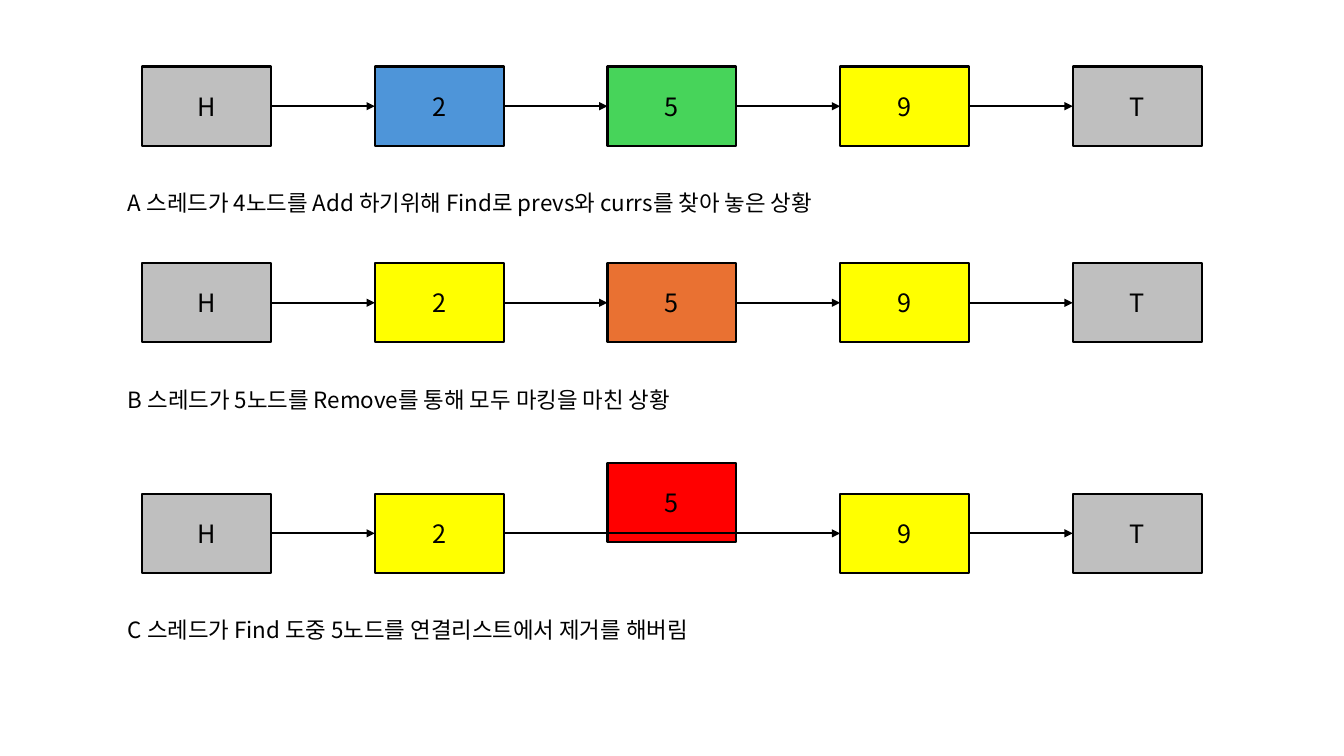
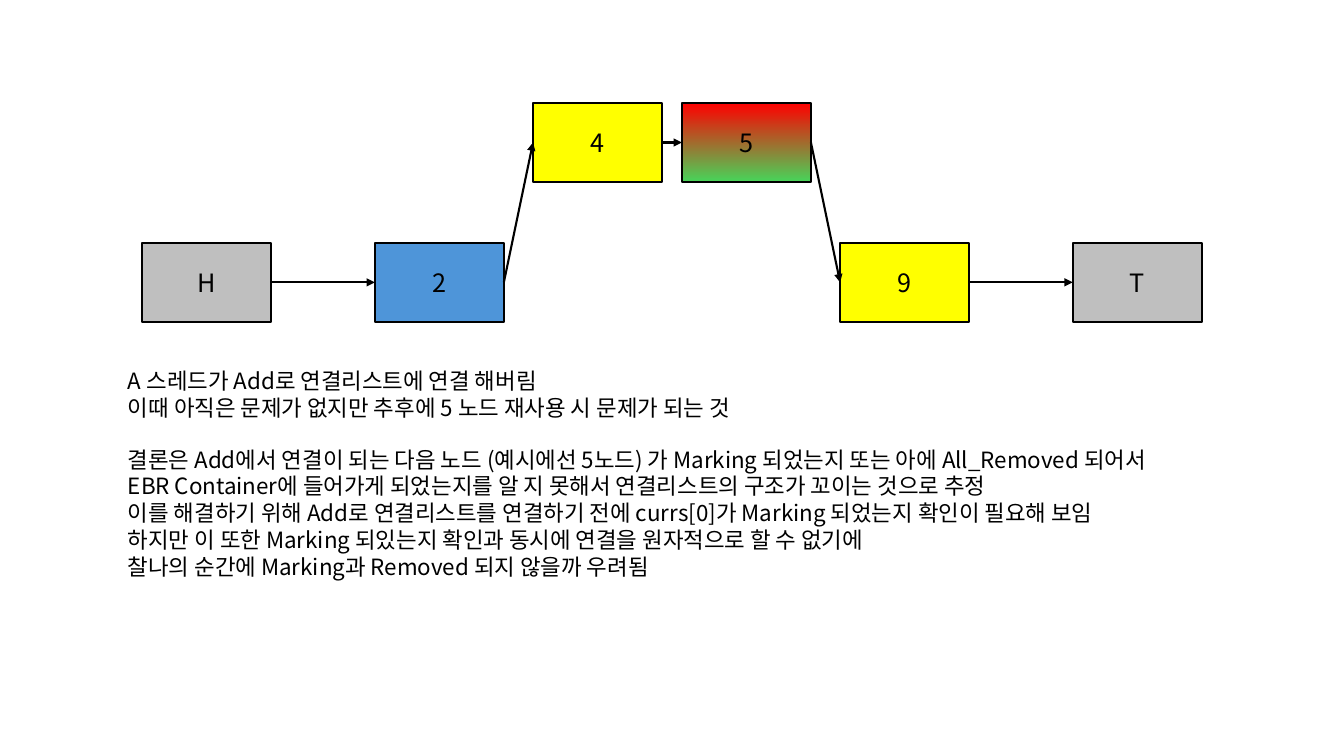
from itertools import pairwise

from lxml import etree
from pptx import Presentation
from pptx.dml.color import RGBColor
from pptx.enum.shapes import MSO_CONNECTOR, MSO_SHAPE
from pptx.enum.text import MSO_ANCHOR, MSO_AUTO_SIZE, PP_ALIGN
from pptx.oxml.ns import qn
from pptx.util import Inches, Pt

RECT, LINE = MSO_SHAPE.RECTANGLE, MSO_CONNECTOR.STRAIGHT
MIDDLE, FIT = MSO_ANCHOR.MIDDLE, MSO_AUTO_SIZE.SHAPE_TO_FIT_TEXT
LEFT, CENTER = PP_ALIGN.LEFT, PP_ALIGN.CENTER
ENTRY, EXIT = 1, 3

HUES = {"ink": "000000", "gray": "BFBFBF", "blue": "4E95D9", "green": "47D45A",
        "gold": "FFFF00", "rust": "E97132", "red": "FF0000"}
FACE = "Noto Sans CJK KR"
FRAMES = {"node": {"vertical_anchor": MIDDLE},
          "note": {"word_wrap": False, "auto_size": FIT}}
FONTS = {"node": {"size": Pt(18), "name": FACE},
         "note": {"size": Pt(16), "name": FACE}}
ALIGNS = {"node": CENTER, "note": LEFT}

ORIGIN, PITCH = 10.58, 17.31
WIDE, TALL = 9.6, 10.5
MARGIN, DROP = 8.78, 15.6


def tone(name):
    return RGBColor.from_string(HUES[name])


def dress(target, values):
    for key, value in values.items():
        setattr(target, key, value)


class Deck:
    """Draws linked lists; columns are node steps, other lengths percent of the slide."""

    def __init__(self):
        self.show = Presentation()
        dress(self.show, {"slide_width": Inches(13.33), "slide_height": Inches(7.5)})
        self.page = None

    def start(self):
        self.page = self.show.slides.add_slide(self.show.slide_layouts[6])

    def area(self, left, top, width, height):
        across, down = self.show.slide_width, self.show.slide_height
        return [round(share * size / 100) for share, size in
                ((left, across), (top, down), (width, across), (height, down))]

    def letter(self, frame, kind, texts):
        dress(frame, FRAMES[kind])
        for index, text in enumerate(texts):
            para = frame.add_paragraph() if index else frame.paragraphs[0]
            para.text = text
            para.alignment = ALIGNS[kind]
            for run in para.runs:
                dress(run.font, FONTS[kind])
                run.font.color.rgb = tone("ink")
                east = etree.SubElement(run.font._element, qn("a:ea"))
                east.set("typeface", FACE)

    def stroke(self, line):
        line.color.rgb = tone("ink")
        line.width = Pt(1.5)

    def node(self, label, col, row, *hues):
        box = self.page.shapes.add_shape(
            RECT, *self.area(ORIGIN + col * PITCH, row, WIDE, TALL))
        box.shadow.inherit = False
        if len(hues) == 1:
            box.fill.solid()
            box.fill.fore_color.rgb = tone(hues[0])
        else:
            box.fill.gradient()
            box.fill.gradient_angle = 270
            for stop, hue in zip(box.fill.gradient_stops, hues):
                stop.color.rgb = tone(hue)
        self.stroke(box.line)
        self.letter(box.text_frame, "node", [label])
        return box

    def link(self, first, second):
        wire = self.page.shapes.add_connector(LINE, 0, 0, 0, 0)
        wire.begin_connect(first, EXIT)
        wire.end_connect(second, ENTRY)
        self.stroke(wire.line)
        props = wire._element.spPr
        etree.SubElement(props.find(qn("a:ln")), qn("a:tailEnd"), type="triangle")
        etree.SubElement(props, qn("a:effectLst"))

    def chain(self, row, nodes):
        return [self.node(label, col, row - lift, *hues)
                for label, col, lift, *hues in nodes]

    def tie(self, boxes):
        for first, second in pairwise(boxes):
            self.link(first, second)

    def note(self, row, width, height, *texts):
        box = self.page.shapes.add_textbox(*self.area(MARGIN, row, width, height))
        self.letter(box.text_frame, "note", texts)


HEAD, TAIL = ("H", 0, 0, "gray"), ("T", 4, 0, "gray")
NINE = ("9", 3, 0, "gold")
STAGES = [
    (8.8, "blue", "green", 0, 58.89,
     "A 스레드가 4노드를 Add 하기위해 Find로 prevs와 currs를 찾아 놓은 상황"),
    (34.8, "gold", "rust", 0, 46.21,
     "B 스레드가 5노드를 Remove를 통해 모두 마킹을 마친 상황"),
    (65.3, "gold", "red", 4.1, 47.94,
     "C 스레드가 Find 도중 5노드를 연결리스트에서 제거를 해버림"),
]


def main():
    deck = Deck()
    deck.start()
    for row, two, five, lift, width, text in STAGES:
        boxes = deck.chain(row, [HEAD, ("2", 1, 0, two), ("5", 2, lift, five), NINE, TAIL])
        deck.tie(boxes[:2] + boxes[3:] if lift else boxes)
        deck.note(row + DROP, width, 4.93, text)

    deck.start()
    rise = 18.5
    deck.tie(deck.chain(32.1, [
        HEAD, ("2", 1, 0, "blue"), ("4", 1.68, rise, "gold"),
        ("5", 2.32, rise, "red", "green"), NINE, TAIL]))
    deck.note(47.9, 52.74, 8.53,
              "A 스레드가 Add로 연결리스트에 연결 해버림\n"
              "이때 아직은 문제가 없지만 추후에 5 노드 재사용 시 문제가 되는 것")
    deck.note(58.3, 84.77, 19.33,
              "결론은 Add에서 연결이 되는 다음 노드 (예시에선 5노드) 가 Marking 되었는지 "
              "또는 아에 All_Removed 되어서\n"
              "EBR Container에 들어가게 되었는지를 알 지 못해서 연결리스트의 구조가 "
              "꼬이는 것으로 추정",
              "이를 해결하기 위해 Add로 연결리스트를 연결하기 전에 currs[0]가 Marking "
              "되었는지 확인이 필요해 보임\n"
              "하지만 이 또한 Marking 되있는지 확인과 동시에 연결을 원자적으로 할 수 없기에\n"
              "찰나의 순간에 Marking과 Removed 되지 않을까 우려됨")
    deck.show.save("out.pptx")


if __name__ == "__main__":
    main()
